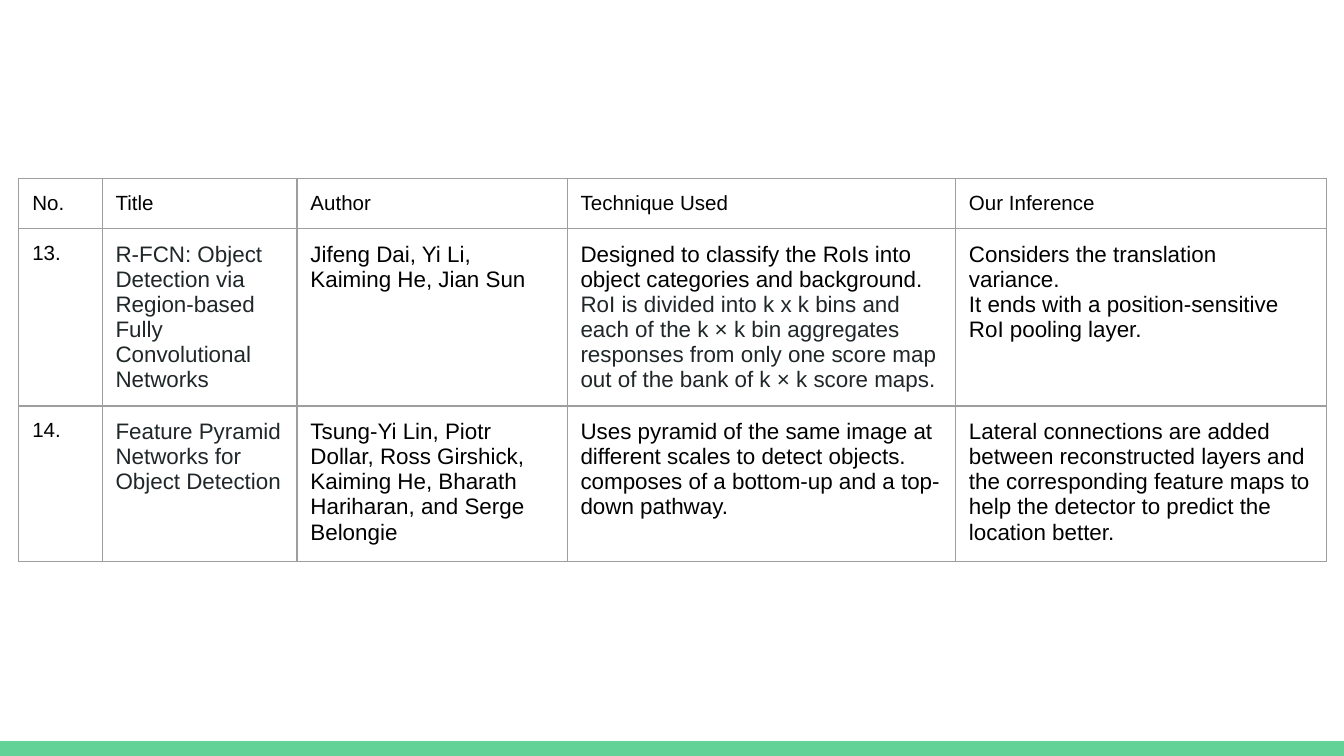
"""Build a literature survey slide with a table of detection papers."""
from dataclasses import dataclass

from lxml import etree
from pptx import Presentation
from pptx import util as u
from pptx.dml.color import RGBColor
from pptx.enum import shapes
from pptx.oxml import ns


@dataclass(frozen=True)
class Theme:
    """Hold the colours, font and sizes of the slide."""
    font: str = "Arial"
    ink: str = "000000"
    slate: str = "202729"
    grid: str = "9E9E9E"
    accent: str = "63D297"
    label_size: float = 11
    body_size: float = 12
    grid_width: float = 0.75


THEME = Theme()
PAGE_WIDTH = u.Inches(10)
PAGE_HEIGHT = PAGE_WIDTH * 9 // 16
COLUMNS = (0.62, 1.45, 2.01, 2.89, 2.76)
ROWS = (0.32, 1.16, 1.16)
HEADINGS = ("No.", "Title", "Author", "Technique Used", "Our Inference")
PAPERS = (
    (
        "13.",
        "R-FCN: Object Detection via Region-based Fully Convolutional Networks",
        "Jifeng Dai, Yi Li, Kaiming He, Jian Sun",
        [[
            ("Designed to classify the RoIs into object categories and background. ", THEME.ink),
            ("RoI is divided into k x k bins and each of the k × k bin aggregates "
             "responses from only one score map out of the bank of k × k score maps.", THEME.slate),
        ]],
        ["Considers the translation variance.",
         "It ends with a position-sensitive RoI pooling layer."],
    ),
    (
        "14.",
        "Feature Pyramid Networks for Object Detection",
        "Tsung-Yi Lin, Piotr Dollar, Ross Girshick, Kaiming He, Bharath Hariharan, "
        "and Serge Belongie",
        ["Uses pyramid of the same image at different scales to detect objects.",
         "composes of a bottom-up and a top-down pathway."],
        "Lateral connections are added between reconstructed layers and the corresponding "
        "feature maps to help the detector to predict the location better.",
    ),
)


def apply_format(target, values):
    """Set every attribute named in a dict of format values."""
    for name, value in values.items():
        setattr(target, name, value)


def add_footer_bar(page):
    """Draw the accent bar along the bottom edge."""
    height = u.Inches(0.11)
    bar = page.shapes.add_shape(
        shapes.MSO_SHAPE.RECTANGLE, u.Inches(0), PAGE_HEIGHT - height, PAGE_WIDTH, height)
    bar.shadow.inherit = False
    bar.fill.solid()
    bar.fill.fore_color.rgb = RGBColor.from_string(THEME.accent)
    bar.line.fill.background()


def add_borders(cell):
    """Rule all four sides of a cell in the grid colour."""
    properties = cell._tc.get_or_add_tcPr()
    for index, side in enumerate(("lnL", "lnR", "lnT", "lnB")):
        line = etree.Element(ns.qn(f"a:{side}"), w=str(u.Pt(THEME.grid_width)))
        fill = etree.SubElement(line, ns.qn("a:solidFill"))
        etree.SubElement(fill, ns.qn("a:srgbClr"), val=THEME.grid)
        properties.insert(index, line)


def write_cell(cell, content, size, color):
    """Write paragraphs of plain or coloured spans into a cell."""
    paragraphs = [content] if isinstance(content, str) else content
    for index, spans in enumerate(paragraphs):
        frame = cell.text_frame
        para = frame.add_paragraph() if index else frame.paragraphs[0]
        for words, shade in [(spans, color)] if isinstance(spans, str) else spans:
            span = para.add_run()
            span.text = words
            apply_format(span.font, {"name": THEME.font, "size": u.Pt(size), "bold": False})
            span.font.color.rgb = RGBColor.from_string(shade)


def add_survey_table(page):
    """Place the survey table and fill its cells."""
    table = page.shapes.add_table(
        len(ROWS), len(COLUMNS), u.Inches(0.14), u.Inches(1.33),
        u.Inches(sum(COLUMNS)), u.Inches(sum(ROWS))).table
    apply_format(table, {"first_row": False, "horz_banding": False})
    for column, width in zip(table.columns, COLUMNS):
        column.width = u.Inches(width)
    for row, height in zip(table.rows, ROWS):
        row.height = u.Inches(height)
    margins = {f"margin_{side}": u.Inches(0.1) for side in ("left", "right", "top", "bottom")}
    for row, contents in enumerate((HEADINGS, *PAPERS)):
        for column, content in enumerate(contents):
            cell = table.cell(row, column)
            apply_format(cell, margins)
            cell.fill.background()
            add_borders(cell)
            size = THEME.body_size if row and column else THEME.label_size
            color = THEME.slate if row and column == 1 else THEME.ink
            write_cell(cell, content, size, color)


def main():
    """Build the slide and save the deck."""
    deck = Presentation()
    apply_format(deck, {"slide_width": PAGE_WIDTH, "slide_height": PAGE_HEIGHT})
    page = deck.slides.add_slide(deck.slide_layouts[6])
    add_footer_bar(page)
    add_survey_table(page)
    deck.save("out.pptx")


if __name__ == "__main__":
    main()
